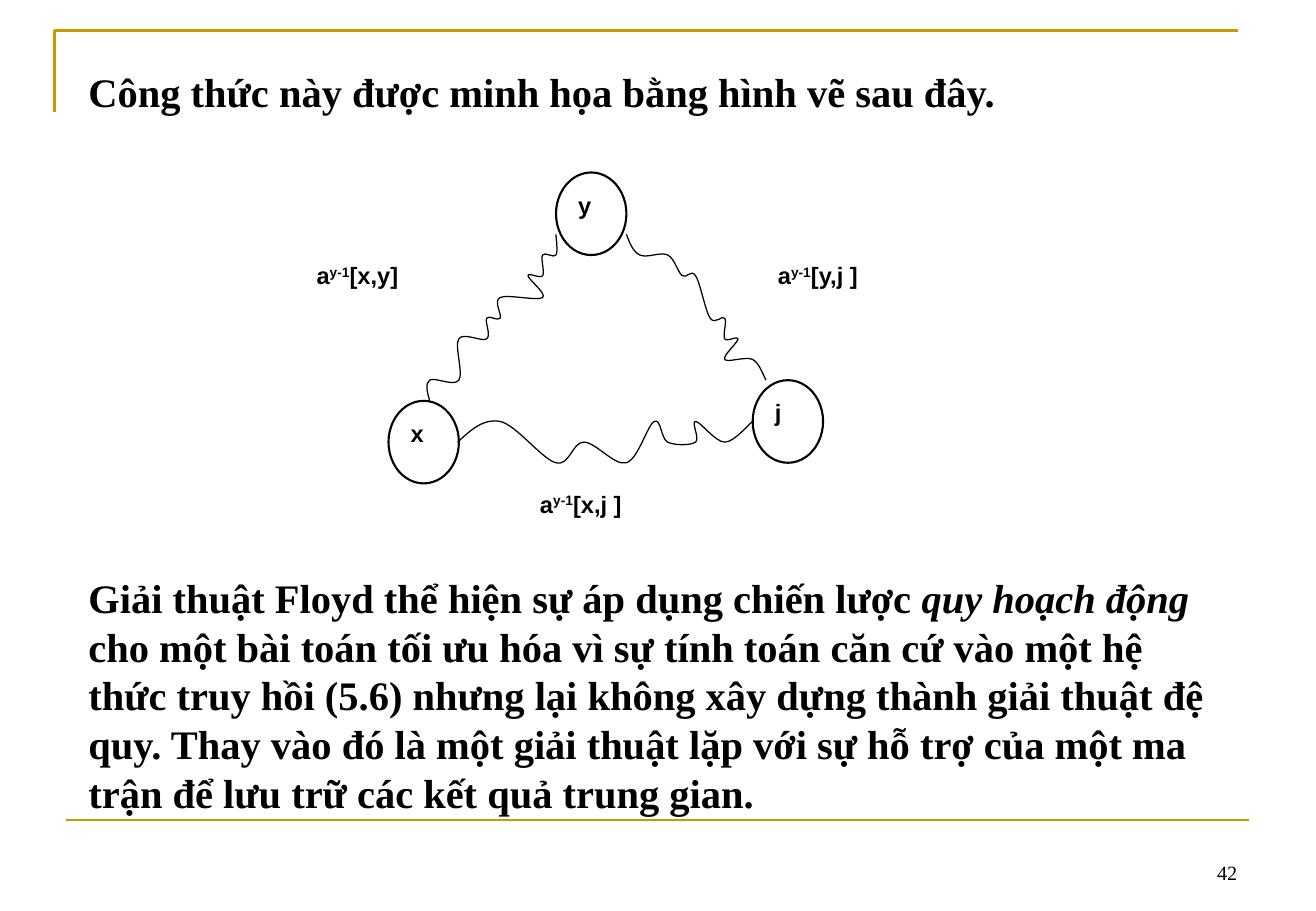
import pptx
import pptx.util
import pptx.dml.color
import pptx.enum.shapes
import pptx.enum.text
import pptx.oxml
import pptx.oxml.ns

Inches = pptx.util.Inches
Pt = pptx.util.Pt
qn = pptx.oxml.ns.qn
Kind = pptx.enum.shapes.MSO_SHAPE
Align = pptx.enum.text.PP_ALIGN
Anchor = pptx.enum.text.MSO_ANCHOR

BLACK, WHITE, GOLD = "000000", "FFFFFF", "CC9900"
SERIF, SANS = "Times New Roman", "Arial"

NODES = [("y", 4.58, 1.42), ("x", 3.2, 3.3), ("j", 6.2, 3.13)]
LABELS = [
    ("[x,y]", 2.51, 2.1, 0.68),
    ("[y,j ]", 6.31, 2.1, 0.68),
    ("[x,j ]", 4.35, 3.98, 0.51),
]
WAVES = [
    [(3.77, 3.64), (4.12, 3.47), (4.58, 3.81), (4.81, 3.64), (5.16, 3.81),
     (5.39, 3.47), (5.5, 3.64), (5.73, 3.64), (5.73, 3.47), (5.97, 3.64),
     (6.2, 3.47)],
    [(3.54, 3.3), (3.54, 3.13), (3.78, 3.13), (3.78, 2.79), (4.01, 2.79),
     (4.01, 2.62), (4.12, 2.62), (4.12, 2.45), (4.47, 2.45), (4.35, 2.27),
     (4.47, 2.27), (4.47, 2.1), (4.58, 2.1), (4.58, 1.93)],
    [(5.16, 1.93), (5.27, 2.1), (5.5, 2.1), (5.62, 2.27), (5.73, 2.27),
     (5.85, 2.62), (5.97, 2.62), (5.97, 2.79), (6.08, 2.79), (5.97, 2.96),
     (6.2, 2.96), (6.31, 3.13)],
]
TITLE = "Công thức này được minh họa bằng hình vẽ sau đây."
BODY = [
    ("Giải thuật Floyd thể hiện sự áp dụng chiến lược ", ""),
    ("quy hoạch động", "italic"),
    (" cho một bài toán tối ưu hóa vì sự tính toán căn cứ vào một hệ thức "
     "truy hồi (5.6) nhưng lại không xây dựng thành giải thuật đệ quy. Thay "
     "vào đó là một giải thuật lặp với sự hỗ trợ của một ma trận để lưu trữ "
     "các kết quả trung gian.", ""),
]


def color(text):
    return pptx.dml.color.RGBColor.from_string(text)


def write(shape, parts, size, face, bold=True, align=Align.LEFT,
          anchor=Anchor.TOP):
    frame = shape.text_frame
    frame.word_wrap = True
    frame.vertical_anchor = anchor
    para = frame.paragraphs[0]
    para.alignment = align
    for text, style in parts:
        run = para.add_run()
        run.text = text
        font = run.font
        font.name = face
        font.size = Pt(size)
        font.bold = bold
        font.color.rgb = color(BLACK)
        if style == "italic":
            font.italic = True
        if style == "super":
            font._element.set("baseline", "30000")


def add_text(slide, box, parts, size, face, **look):
    shape = slide.shapes.add_textbox(*map(Inches, box))
    write(shape, parts, size, face, **look)


def add_block(slide, kind, box, parts, width=0):
    shape = slide.shapes.add_shape(kind, *map(Inches, box))
    shape.shadow.inherit = False
    shape.fill.solid()
    shape.fill.fore_color.rgb = color(WHITE)
    if width:
        shape.line.color.rgb = color(BLACK)
        shape.line.width = Pt(width)
    else:
        shape.line.fill.background()
    write(shape, parts, 14, SANS)


def add_path(slide, points, ink, width):
    spots = [(Inches(x), Inches(y)) for x, y in points]
    maker = slide.shapes.build_freeform(*spots[0])
    maker.add_line_segments(spots[1:], close=False)
    shape = maker.convert_to_shape()
    shape.shadow.inherit = False
    shape.fill.background()
    shape.line.color.rgb = color(ink)
    shape.line.width = Pt(width)
    return shape


def shift(start, low, high, part):
    return tuple(s + (b - a) * part for s, a, b in zip(start, low, high))


def bend(knots):
    points = [knots[0]]
    last = len(knots) - 1
    for i in range(last):
        here, there = knots[i], knots[i + 1]
        after = knots[min(i + 2, last)]
        second = shift(there, after, here, 1 / 6)
        if i == 0:
            first = shift(here, here, second, 1 / 2)
        else:
            first = shift(here, knots[i - 1], there, 1 / 6)
        points += [first, second, there]
    return points


def add_wave(slide, knots):
    shape = add_path(slide, bend(knots), BLACK, 0.75)
    lines = list(shape._element.iter(qn("a:lnTo")))
    for i in range(0, len(lines), 3):
        curve = pptx.oxml.parse_xml(
            f"<a:cubicBezTo {pptx.oxml.ns.nsdecls('a')}/>")
        lines[i].addprevious(curve)
        for line in lines[i:i + 3]:
            curve.append(line[0])
            line.getparent().remove(line)


def add_rule(slide, left, right, top):
    kind = pptx.enum.shapes.MSO_CONNECTOR.STRAIGHT
    rule = slide.shapes.add_connector(
        kind, Inches(left), Inches(top), Inches(right), Inches(top))
    rule.line.color.rgb = color(GOLD)
    rule.line.width = Pt(1.5)
    props = rule._element.spPr
    props.append(props.makeelement(qn("a:effectLst"), {}))


def main():
    deck = pptx.Presentation()
    deck.slide_width = Inches(10.84)
    deck.slide_height = Inches(7.5)
    slide = deck.slides.add_slide(deck.slide_layouts[6])

    add_path(slide, [(0.45, 0.92), (0.45, 0.25), (10.2, 0.25)], GOLD, 1.5)
    add_rule(slide, 0.54, 10.29, 6.75)
    add_text(slide, (7.76, 6.83, 2.53, 0.5), [("42", "")], 12, SERIF,
             bold=False, align=Align.RIGHT, anchor=Anchor.BOTTOM)
    for name, left, top in NODES:
        add_block(slide, Kind.OVAL, (left, top, 0.58, 0.68),
                  [(name, "")], 1.25)
    for pair, left, top, height in LABELS:
        add_block(slide, Kind.RECTANGLE, (left, top, 1.27, height),
                  [("a", ""), ("y-1", "super"), (pair, "")])
    for knots in WAVES:
        add_wave(slide, knots)
    add_text(slide, (0.63, 0.5, 9.66, 0.5), [(TITLE, "")], 24, SERIF)
    add_text(slide, (0.63, 4.67, 9.48, 2.1), BODY, 24, SERIF)

    deck.save("out.pptx")


if __name__ == "__main__":
    main()
